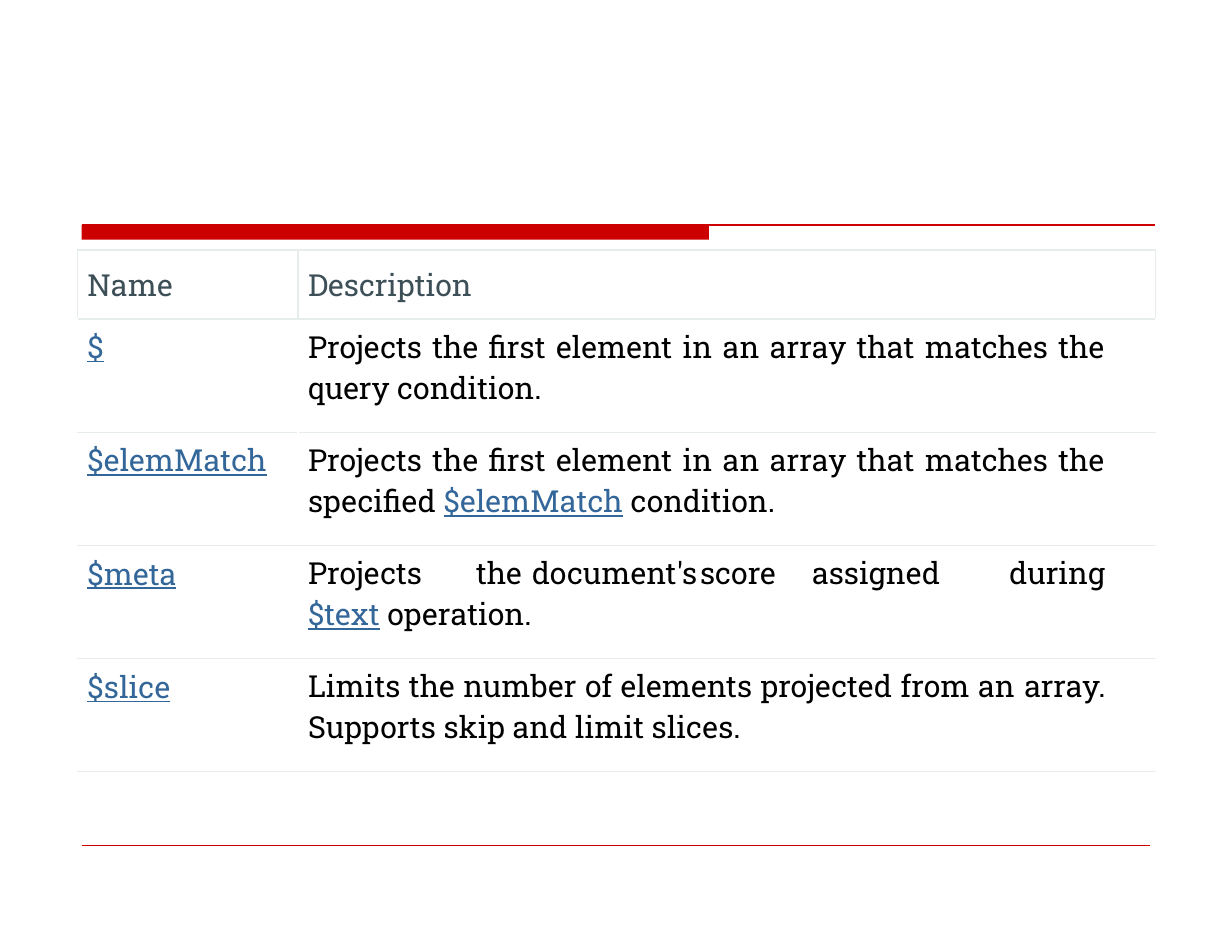
import pptx
import pptx.dml.color
import pptx.enum.shapes
import pptx.enum.text
import pptx.oxml.ns
import pptx.util
from lxml import etree

Inches = pptx.util.Inches
Pt = pptx.util.Pt
qn = pptx.oxml.ns.qn

COLORS = {
    "accent": "CC0000",
    "header": "3D4F57",
    "body": "000000",
    "tight": "000000",
    "link": "336699",
    "border": "E6EDEB",
    "cell": "FFFFFF",
}
FONT = "Roboto Slab"
SIZE = 19.5
INDENT = 0.09
NAME_WIDTH = 1.97
DESCRIPTION_WIDTH = 7.66
HEADER_HEIGHT = 0.62
ROW_HEIGHT = 1.01
RIGHT_MARGIN = 0.45

OPERATORS = [
    ("$elemMatch", [
        ("Projects the first element in an array that matches the specified ", "body"),
        ("$elemMatch", "link"),
        (" condition.", "body"),
    ], []),
    ("$meta", [
        ("Projects\tthe\tdocument's\tscore\tassigned during ", "body"),
        ("$text", "link"),
        (" operation.", "body"),
    ], [1.79, 2.86, 5.05, 6.39]),
    ("$slice", [
        ("Limits the number of elements projected from an ", "body"),
        ("array. ", "tight"),
        ("Supports skip and limit slices.", "body"),
    ], []),
]
FIRST_ROW = [
    ("$", "link"),
    ("\tProjects the first element in an array that matches the query condition.", "body"),
]


def rgb(name):
    return pptx.dml.color.RGBColor.from_string(COLORS[name])


def add_bar(slide, left, top, width, height):
    sp = slide.shapes.add_shape(
        pptx.enum.shapes.MSO_SHAPE.RECTANGLE,
        Inches(left), Inches(top), Inches(width), Inches(height))
    sp.shadow.inherit = False
    sp.fill.solid()
    sp.fill.fore_color.rgb = rgb("accent")
    sp.line.fill.background()


def add_rule(slide, left, top, width, weight):
    line = slide.shapes.add_connector(
        pptx.enum.shapes.MSO_CONNECTOR.STRAIGHT,
        Inches(left), Inches(top), Inches(left + width), Inches(top))
    line.line.color.rgb = rgb("accent")
    line.line.width = Pt(weight)
    etree.SubElement(line._element.spPr, qn("a:effectLst"))


def set_border(cell, side, weight):
    tcPr = cell._tc.get_or_add_tcPr()
    ln = etree.SubElement(tcPr, qn(f"a:ln{side}"), w=str(int(Pt(weight))))
    fill = etree.SubElement(ln, qn("a:solidFill"))
    etree.SubElement(fill, qn("a:srgbClr"), val=COLORS["border"])


def style_cell(cell, top, right, borders):
    cell.margin_left = cell.margin_bottom = 0
    cell.margin_top = Inches(top)
    cell.margin_right = Inches(right)
    for side, weight in borders:
        set_border(cell, side, weight)
    cell.fill.solid()
    cell.fill.fore_color.rgb = rgb("cell")


def write(cell, runs, left=INDENT, hanging=0, tabs=(), justify=False):
    p = cell.text_frame.paragraphs[0]
    if justify:
        p.alignment = pptx.enum.text.PP_ALIGN.JUSTIFY
        p.line_spacing = 1.02
    pPr = p._p.get_or_add_pPr()
    pPr.set("marL", str(Inches(left)))
    pPr.set("indent", str(-Inches(hanging)))
    if tabs:
        tab_list = etree.SubElement(pPr, qn("a:tabLst"))
        for tab in tabs:
            etree.SubElement(tab_list, qn("a:tab"), pos=str(Inches(tab)), algn="l")
    for text, style in runs:
        r = p.add_run()
        r.text = text
        r.font.name = FONT
        r.font.size = Pt(SIZE)
        r.font.color.rgb = rgb(style)
        if style == "link":
            r.font.underline = True
        if style == "tight":
            r.font._element.set("spc", "-10")


def add_operator_table(slide):
    count = len(OPERATORS) + 2
    table = slide.shapes.add_table(
        count, 2, Inches(0.69), Inches(2.23),
        Inches(NAME_WIDTH + DESCRIPTION_WIDTH),
        Inches(HEADER_HEIGHT + ROW_HEIGHT * (count - 1))).table
    table.first_row = table.horz_banding = False
    table.columns[0].width = Inches(NAME_WIDTH)
    table.columns[1].width = Inches(DESCRIPTION_WIDTH)
    for i, row in enumerate(table.rows):
        row.height = Inches(ROW_HEIGHT if i else HEADER_HEIGHT)

    for cell, title in zip(table.rows[0].cells, ("Name", "Description")):
        style_cell(cell, 0.13, 0, [("L", 1), ("R", 1), ("T", 1.5), ("B", 1)])
        write(cell, [(title, "header")])

    row_borders = [("T", 1), ("B", 1)]
    for i in range(1, count):
        style_cell(table.cell(i, 0), 0.06 if i == 1 else 0.07,
                   RIGHT_MARGIN if i == 1 else 0, row_borders)
        style_cell(table.cell(i, 1), 0.06, RIGHT_MARGIN, row_borders)

    table.cell(1, 0).merge(table.cell(1, 1))
    text_left = NAME_WIDTH + INDENT
    write(table.cell(1, 0), FIRST_ROW, text_left, NAME_WIDTH, [text_left], True)
    for i, (name, description, tabs) in enumerate(OPERATORS, start=2):
        write(table.cell(i, 0), [(name, "link")])
        write(table.cell(i, 1), description, tabs=tabs, justify=True)


def main():
    prs = pptx.Presentation()
    prs.slide_width = Inches(11)
    prs.slide_height = Inches(8.5)
    s = prs.slides.add_slide(prs.slide_layouts[6])
    add_bar(s, 0.73, 2.01, 5.6, 0.13)
    add_rule(s, 0.73, 2.01, 9.58, 0.84)
    add_rule(s, 0.73, 7.55, 9.54, 0.25)
    add_operator_table(s)
    prs.save("out.pptx")


if __name__ == "__main__":
    main()
